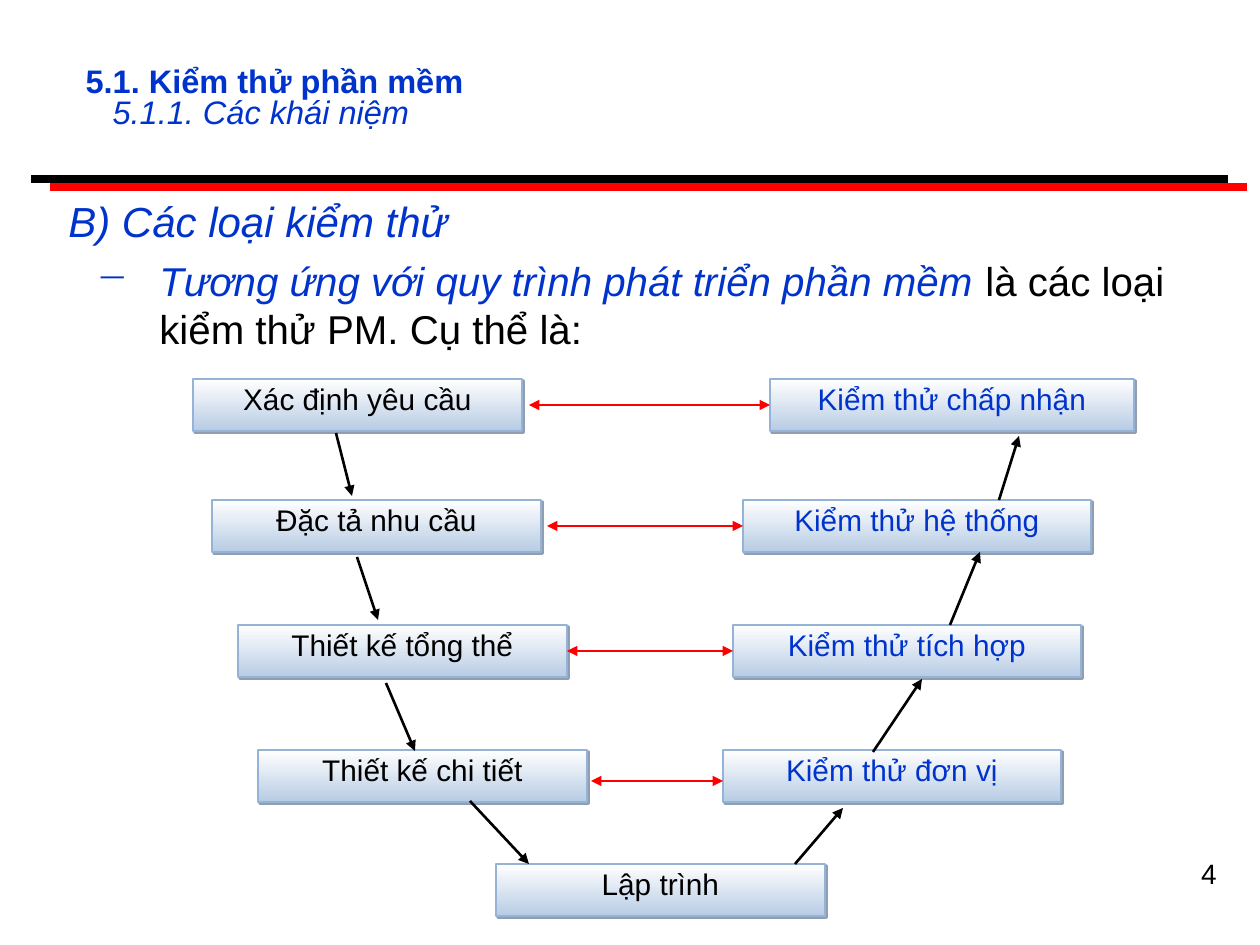
from dataclasses import dataclass

from lxml.etree import SubElement
from pptx import Presentation
from pptx.dml.color import RGBColor
from pptx.enum.shapes import MSO_CONNECTOR, MSO_SHAPE
from pptx.enum.text import MSO_ANCHOR, MSO_AUTO_SIZE, PP_ALIGN
from pptx.oxml.ns import qn
from pptx.util import Emu, Pt

SCALE = 914400 / 126  # EMU in one px


def px(length):
    return Emu(round(length * SCALE))


@dataclass(frozen=True)
class Theme:
    font: str = "Arial"
    ink: str = "000000"
    accent: str = "0033CC"
    signal: str = "FF0000"
    box_top: str = "FFFFFF"
    box_bottom: str = "B8CCE4"
    box_edge: str = "95B3D7"
    box_shadow: str = "243F60"
    title_size: float = 18.6
    heading_size: int = 24
    body_size: int = 23
    box_size: int = 17
    number_size: int = 16
    thin: float = 1.5
    thick: float = 4.5


class SlideBuilder:
    def __init__(self, deck, theme):
        self.theme = theme
        self.slide = deck.slides.add_slide(deck.slide_layouts[5])

    def paragraph(self, frame, spans, indent=0, hanging=0, bullet=None, **formats):
        """Fill the empty first paragraph, or add one; spans are (text, size, colour, font values)."""
        first = frame.paragraphs[0]
        para = frame.add_paragraph() if first.runs else first
        properties = para._p.get_or_add_pPr()
        properties.set("marL", str(px(indent)))
        properties.set("indent", str(px(hanging)))
        if bullet:
            colour = SubElement(properties, qn("a:buClr"))
            SubElement(colour, qn("a:srgbClr"), val=self.theme.accent)
            SubElement(properties, qn("a:buChar"), char=bullet)
        for name, value in formats.items():
            setattr(para, name, value)
        for text, size, colour, font_values in spans:
            span = para.add_run()
            span.text = text
            values = {"name": self.theme.font, "size": Pt(size), **font_values}
            for name, value in values.items():
                setattr(span.font, name, value)
            span.font.color.rgb = RGBColor.from_string(colour)

    def place_title(self, left, top, width, height):
        title = self.slide.shapes.title
        frame_values = {"left": left, "top": top, "width": width, "height": height}
        for name, value in frame_values.items():
            setattr(title, name, px(value))
        title.text_frame.auto_size = MSO_AUTO_SIZE.NONE
        title.text_frame.vertical_anchor = MSO_ANCHOR.MIDDLE
        return title.text_frame

    def text_box(self, left, top, width, height):
        box = self.slide.shapes.add_textbox(*map(px, (left, top, width, height)))
        box.text_frame.word_wrap = True
        return box.text_frame

    def process_box(self, text, left, top, width, height, colour):
        theme = self.theme
        box = self.slide.shapes.add_shape(
            MSO_SHAPE.RECTANGLE, *map(px, (left, top, width, height)))
        box.fill.gradient()
        box.fill.gradient_angle = 270
        for stop, shade in zip(box.fill.gradient_stops, (theme.box_top, theme.box_bottom)):
            stop.color.rgb = RGBColor.from_string(shade)
        box.fill.gradient_stops[0].position = 0
        box.fill.gradient_stops[1].position = 1
        box.line.color.rgb = RGBColor.from_string(theme.box_edge)
        box.line.width = Pt(theme.thin)
        # Hard offset shadow
        box.shadow.inherit = False
        effects = box._element.spPr.find(qn("a:effectLst"))
        shadow = SubElement(effects, qn("a:outerShdw"), blurRad="0",
                            dist=str(Pt(1.4)), dir="2700000", algn="ctr", rotWithShape="0")
        shade = SubElement(shadow, qn("a:srgbClr"), val=theme.box_shadow)
        SubElement(shade, qn("a:alpha"), val="50000")
        box.text_frame.word_wrap = True
        box.text_frame.vertical_anchor = MSO_ANCHOR.TOP
        self.paragraph(box.text_frame, [(text, theme.box_size, colour, {})],
                       alignment=PP_ALIGN.CENTER, line_spacing=0.9, space_after=Pt(10))
        return box

    def line(self, start, end, colour, width, heads=()):
        line = self.slide.shapes.add_connector(
            MSO_CONNECTOR.STRAIGHT, *map(px, (*start, *end)))
        line.line.color.rgb = RGBColor.from_string(colour)
        line.line.width = Pt(width)
        for head in heads:
            SubElement(line.get_or_add_ln(), qn(head), type="triangle")
        SubElement(line._element.spPr, qn("a:effectLst"))
        return line


def main():
    deck = Presentation()
    deck.slide_width, deck.slide_height = px(1260), px(945)
    theme = Theme()
    page = SlideBuilder(deck, theme)
    italic = {"italic": True}

    # Double rule under the title
    page.line((31, 179), (1228, 179), theme.ink, theme.thick)
    page.line((50, 187), (1247, 187), theme.signal, theme.thick)

    # Title
    title = page.place_title(73, 53, 1144, 94)
    title_lines = [("5.1. Kiểm thử phần mềm", 0, {"bold": True}),
                   ("5.1.1. Các khái niệm", 27, italic)]
    for text, indent, font_values in title_lines:
        page.paragraph(title, [(text, theme.title_size, theme.accent, font_values)],
                       indent=indent, alignment=PP_ALIGN.LEFT, line_spacing=0.8)

    # Slide number
    number = page.text_box(935, 850, 294, 66)
    page.paragraph(number, [("4", theme.number_size, theme.ink, {})],
                   alignment=PP_ALIGN.RIGHT)

    # Body text
    body = page.text_box(21, 189, 1207, 687)
    page.paragraph(body, [("B) Các loại kiểm thử", theme.heading_size, theme.accent, italic)],
                   indent=35)
    page.paragraph(
        body,
        [("Tương ứng với quy trình phát triển phần mềm ", theme.body_size, theme.accent, italic),
         ("là các loại kiểm thử PM. Cụ thể là:", theme.body_size, theme.ink, {})],
        indent=126, hanging=-63, bullet="─", level=1, space_before=Pt(6))

    # V-model boxes: top, development step and its left, test and its left and width
    box_width, box_height = 329, 52
    rows = [
        (379, "Xác định yêu cầu", 193, "Kiểm thử chấp nhận", 770, 364),
        (500, "Đặc tả nhu cầu", 212, "Kiểm thử hệ thống", 743, 348),
        (625, "Thiết kế tổng thể", 238, "Kiểm thử tích hợp", 733, 348),
        (750, "Thiết kế chi tiết", 258, "Kiểm thử đơn vị", 723, 338),
    ]
    pairs = []
    for top, step, step_left, test, test_left, test_width in rows:
        pairs.append((
            page.process_box(step, step_left, top, box_width, box_height, theme.ink),
            page.process_box(test, test_left, top, test_width, box_height, theme.accent)))
    page.process_box("Lập trình", 496, 864, box_width, box_height, theme.ink)

    # Arrows down the left side and up the right side
    flow = [
        ((336, 433), (352, 496)), ((357, 557), (378, 620)),
        ((386, 683), (415, 751)), ((470, 801), (529, 864)),
        ((795, 864), (843, 808)), ((873, 752), (922, 679)),
        ((950, 625), (980, 552)), ((999, 500), (1019, 436)),
    ]
    for start, end in flow:
        page.line(start, end, theme.ink, theme.thin, ["a:tailEnd"])

    # Double arrows between each step and its test; the last runs below the middle
    spans = [(529, 405, 770), (547, 526, 743), (567, 651, 733), (591, 781, 723)]
    for (step_box, test_box), (left, middle, right) in zip(pairs, spans):
        arrow = page.line((left, middle), (right, middle), theme.signal, theme.thin,
                          ["a:headEnd", "a:tailEnd"])
        if middle == 651:
            arrow.begin_connect(step_box, 3)
        if middle != 781:
            arrow.end_connect(test_box, 1)

    deck.save("out.pptx")


if __name__ == "__main__":
    main()
